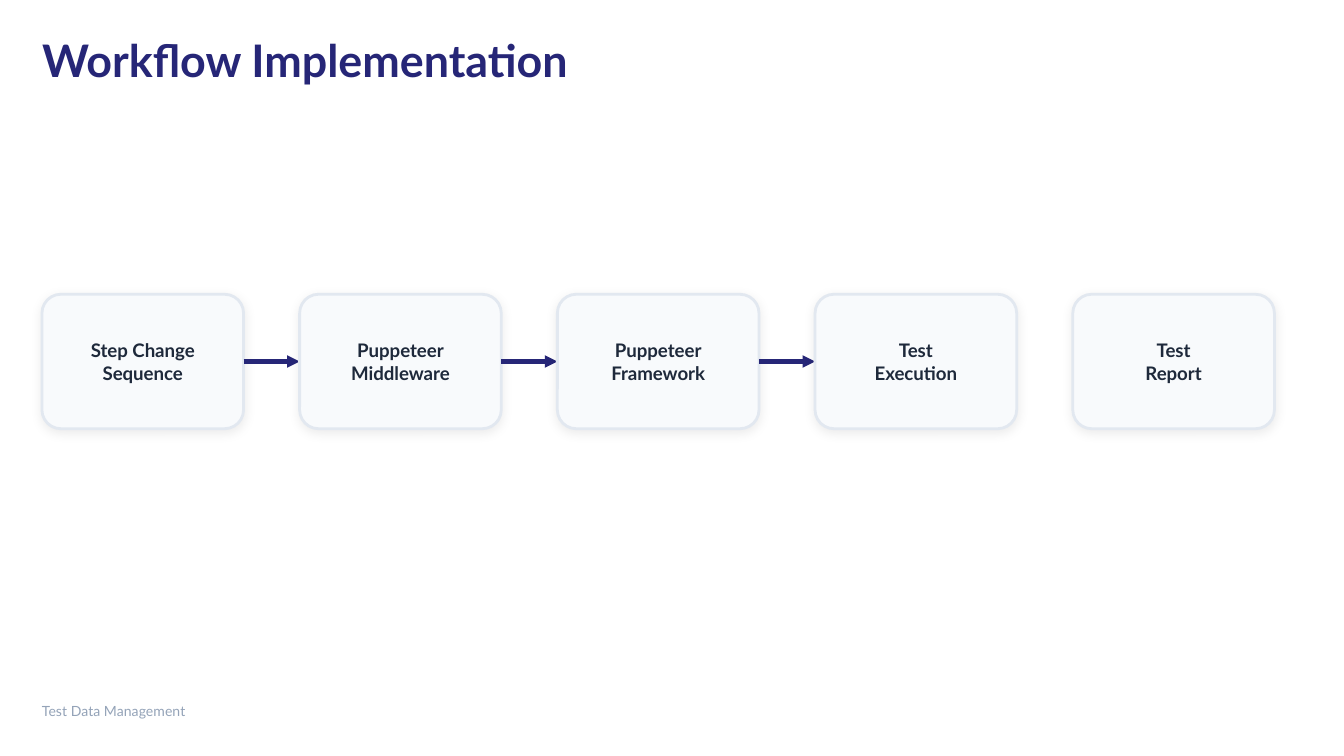
from dataclasses import dataclass

from lxml.etree import SubElement
from pptx import Presentation
from pptx.dml.color import RGBColor
from pptx.enum.shapes import MSO_CONNECTOR as Connector, MSO_SHAPE as Shape
from pptx.enum.text import MSO_ANCHOR as Anchor, MSO_AUTO_SIZE as AutoSize, PP_ALIGN as Align
from pptx.oxml import parse_xml
from pptx.oxml.ns import nsdecls, qn
from pptx.util import Inches, Pt


@dataclass(frozen=True)
class Theme:
    font: str = "Lato"
    background: str = "FFFFFF"
    accent: str = "262677"
    card: str = "F8FAFC"
    border: str = "E2E8F0"
    ink: str = "1E293B"
    muted: str = "94A3B8"
    shadow: str = "000000"
    title_size: float = 24
    step_size: float = 10
    footer_size: float = 7.5


@dataclass(frozen=True)
class Box:
    left: float
    top: float
    width: float
    height: float

    def lengths(self):
        return [Inches(n) for n in (self.left, self.top, self.width, self.height)]


THEME = Theme()
MARGIN = 5 / 16
STEPS = [
    "Step Change\nSequence",
    "Puppeteer\nMiddleware",
    "Puppeteer\nFramework",
    "Test\nExecution",
    "Test\nReport",
]
ARROW_COUNT = 3


def color(value):
    return RGBColor.from_string(value)


def write_text(frame, text, *, size, ink, bold=False, align=Align.LEFT,
               anchor=Anchor.TOP, spacing=None, inset=None):
    frame.word_wrap = True
    frame.auto_size = AutoSize.NONE
    frame.vertical_anchor = anchor
    if inset is not None:
        frame.margin_left = frame.margin_right = Inches(inset)
        frame.margin_top = frame.margin_bottom = Inches(inset)
    for index, line in enumerate(text.split("\n")):
        para = frame.add_paragraph() if index else frame.paragraphs[0]
        para.alignment = align
        if spacing:
            para.line_spacing = Pt(spacing)
        span = para.add_run()
        span.text = line
        span.font.name = THEME.font
        span.font.size = Pt(size)
        span.font.bold = bold
        span.font.color.rgb = color(ink)


def soften(shape):
    shape.shadow.inherit = False
    effects = shape._element.spPr.find(qn("a:effectLst"))
    effects.append(parse_xml(
        f'<a:outerShdw {nsdecls("a")} blurRad="{Pt(6)}" dist="{Pt(1.5)}" '
        f'dir="5400000" algn="ctr" rotWithShape="0"><a:srgbClr val="{THEME.shadow}">'
        '<a:alpha val="8000"/></a:srgbClr></a:outerShdw>'
    ))


def add_step(page, box, text):
    card = page.shapes.add_shape(Shape.ROUNDED_RECTANGLE, *box.lengths())
    card.adjustments[0] = 0.14
    card.fill.solid()
    card.fill.fore_color.rgb = color(THEME.card)
    card.line.color.rgb = color(THEME.border)
    card.line.width = Pt(1.5)
    soften(card)
    write_text(card.text_frame, text, size=THEME.step_size, ink=THEME.ink,
               bold=True, align=Align.CENTER, anchor=Anchor.MIDDLE)


def add_arrow(page, start, end, middle):
    arrow = page.shapes.add_connector(
        Connector.STRAIGHT, Inches(start), Inches(middle), Inches(end), Inches(middle))
    arrow.line.color.rgb = color(THEME.accent)
    arrow.line.width = Pt(2.25)
    SubElement(arrow.line._get_or_add_ln(), qn("a:tailEnd"), type="triangle")
    SubElement(arrow._element.spPr, qn("a:effectLst"))


def add_flow(page, box, steps, step_width=1.5):
    gap = (box.width - len(steps) * step_width) / (len(steps) - 1)
    for index, text in enumerate(steps):
        left = box.left + index * (step_width + gap)
        add_step(page, Box(left, box.top, step_width, box.height), text)
        if index < ARROW_COUNT:
            right = left + step_width
            add_arrow(page, right, right + gap, box.top + box.height / 2)


def add_title(page, box, text):
    title = page.shapes.title
    title.left, title.top, title.width, title.height = box.lengths()
    write_text(title.text_frame, text, size=THEME.title_size, ink=THEME.accent,
               bold=True, spacing=24, inset=0)


def add_footer(page, box, text):
    footer = page.shapes.add_textbox(*box.lengths())
    write_text(footer.text_frame, text, size=THEME.footer_size, ink=THEME.muted,
               spacing=10.5, inset=0)


def main():
    deck = Presentation()
    deck.slide_width = Inches(10)
    deck.slide_height = deck.slide_width * 9 // 16
    page = deck.slides.add_slide(deck.slide_layouts[5])
    page.background.fill.solid()
    page.background.fill.fore_color.rgb = color(THEME.background)
    add_title(page, Box(MARGIN, MARGIN, 5.45, 0.33), "Workflow Implementation")
    add_flow(page, Box(MARGIN, 2.19, 9.17, 1), STEPS)
    add_footer(page, Box(MARGIN, 5.21, 1.1, 0.15), "Test Data Management")
    deck.save("out.pptx")


if __name__ == "__main__":
    main()
